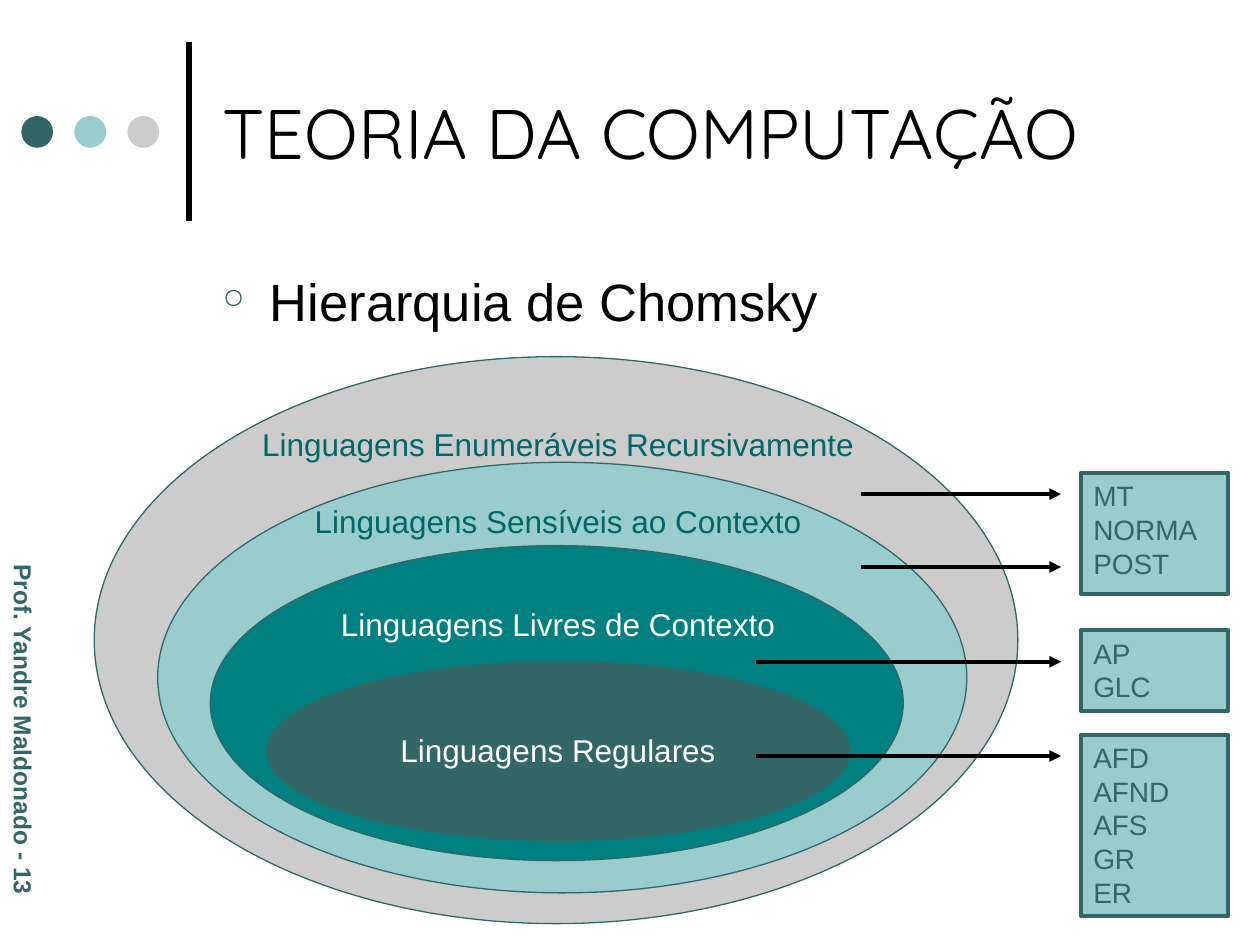
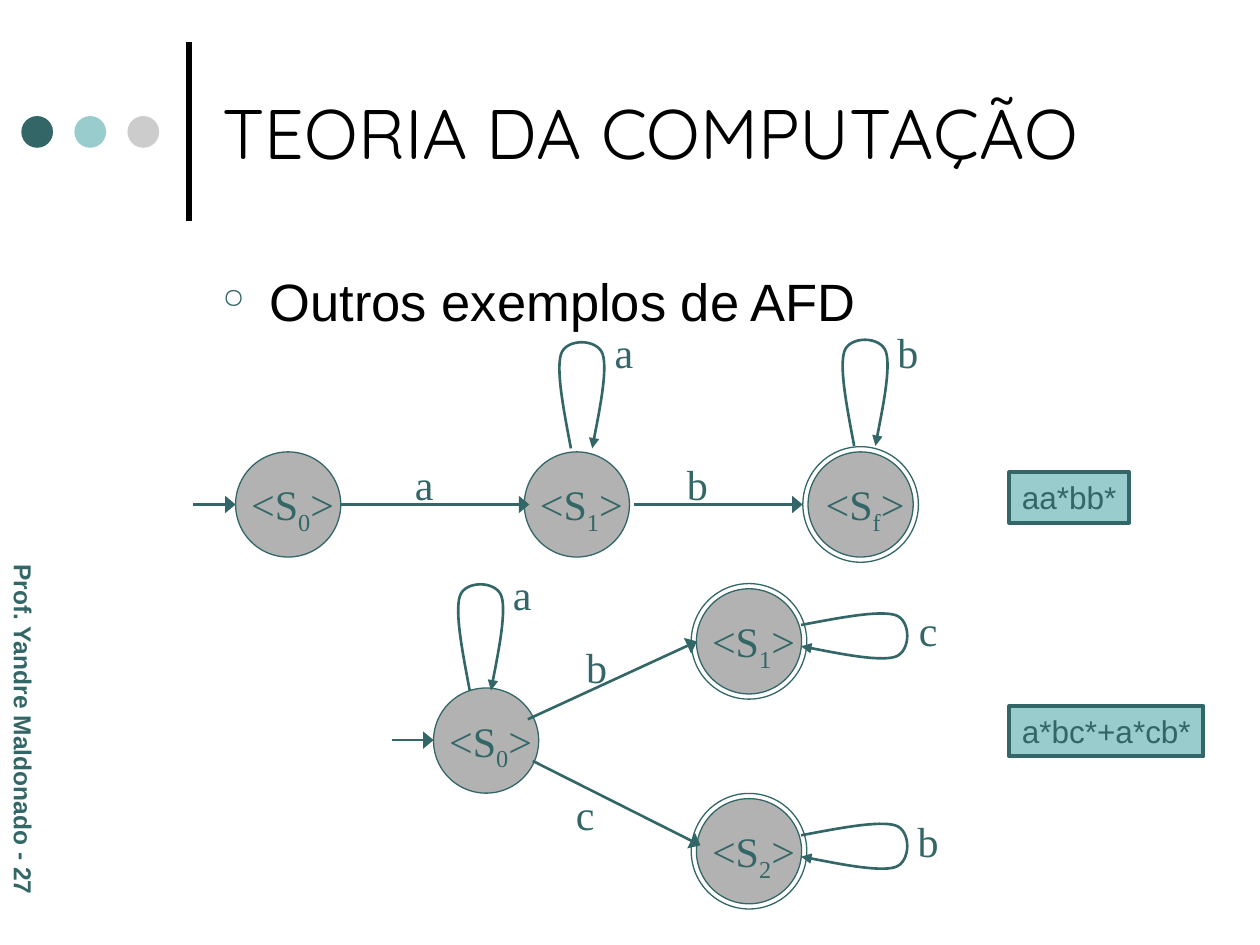
from lxml import etree
from pptx import Presentation
from pptx.dml.color import RGBColor
from pptx.enum.shapes import MSO_CONNECTOR, MSO_SHAPE
from pptx.enum.text import MSO_ANCHOR, PP_ALIGN
from pptx.oxml.ns import qn
from pptx.util import Cm, Pt

OVAL, RECT = MSO_SHAPE.OVAL, MSO_SHAPE.RECTANGLE
STRAIGHT = MSO_CONNECTOR.STRAIGHT
TOP, MIDDLE = MSO_ANCHOR.TOP, MSO_ANCHOR.MIDDLE
LEFT, CENTER = PP_ALIGN.LEFT, PP_ALIGN.CENTER

BLACK, WHITE = "000000", "FFFFFF"
DARK, LIGHT, GREY = "336666", "99CCCC", "CCCCCC"
TEAL, DEEP_TEAL, STATE_GREY = "008080", "006666", "B2B2B2"
rgb = RGBColor.from_string


def paint(shape, fill=None, line=None, width=0.75, head=None):
    """Set fill and outline; head is the arrowhead width (med or lg)."""
    if hasattr(shape, "fill"):
        if fill:
            shape.fill.solid()
            shape.fill.fore_color.rgb = rgb(fill)
        else:
            shape.fill.background()
    if line:
        shape.line.color.rgb = rgb(line)
        shape.line.width = Pt(width)
    else:
        shape.line.fill.background()
    properties = shape._element.spPr
    if head:
        etree.SubElement(properties.find(qn("a:ln")), qn("a:tailEnd"),
                         type="triangle", w=head, len="med")
    etree.SubElement(properties, qn("a:effectLst"))


def write(shape, text, size=18, color=DARK, font="Arial", bold=False,
          align=LEFT, anchor=TOP, wrap=True, before=0):
    """Write one paragraph per line; text between underscores is subscript."""
    frame = shape.text_frame
    frame.word_wrap = wrap
    frame.vertical_anchor = anchor
    for number, content in enumerate(text.split("\n")):
        paragraph = frame.add_paragraph() if number else frame.paragraphs[0]
        paragraph.alignment = align
        paragraph.space_before = Pt(before)
        for position, part in enumerate(content.split("_")):
            run = paragraph.add_run()
            run.text = part
            run.font.size = Pt(size)
            run.font.name = font
            run.font.bold = bold
            run.font.color.rgb = rgb(color)
            if position % 2:
                run._r.get_or_add_rPr().set("baseline", "-25000")


deck = Presentation()
deck.slide_width, deck.slide_height = Cm(25.4), Cm(19.05)

# Shared: rule, dots, title, bulleted topic and vertical footer
canvases = []
for topic, page in (("Hierarquia de Chomsky", 13), ("Outros exemplos de AFD", 27)):
    shapes = deck.slides.add_slide(deck.slide_layouts[6]).shapes
    canvases.append(shapes)

    rule = shapes.add_connector(STRAIGHT, Cm(3.81), Cm(4.45), Cm(3.81), Cm(0.84))
    paint(rule, line=BLACK, width=3)
    for column, color in enumerate((DARK, LIGHT, GREY)):
        dot = shapes.add_shape(OVAL, Cm(0.43 + 1.07 * column), Cm(2.34), Cm(0.64), Cm(0.64))
        paint(dot, color)

    title = shapes.add_textbox(Cm(4.24), Cm(0.53), Cm(19.48), Cm(4.24))
    write(title, "TEORIA DA COMPUTAÇÃO", size=40, color=BLACK, font="Quicksand", anchor=MIDDLE)

    body = shapes.add_textbox(Cm(4.24), Cm(5.29), Cm(19.48), Cm(11.43))
    write(body, topic, size=30, color=BLACK, before=7.5)
    bullet = body.text_frame.paragraphs[0]._p.get_or_add_pPr()
    bullet.set("marL", str(Cm(0.95)))
    bullet.set("indent", str(Cm(-0.95)))
    bullet_color = etree.SubElement(bullet, qn("a:buClr"))
    etree.SubElement(bullet_color, qn("a:srgbClr"), val=DARK)
    etree.SubElement(bullet, qn("a:buSzPct"), val="53000")
    etree.SubElement(bullet, qn("a:buChar"), char="○")

    footer = shapes.add_textbox(Cm(-3.43), Cm(14.6), Cm(7.8), Cm(0.86))
    footer.rotation = 90
    write(footer, f"Prof. Yandre Maldonado - {page}", size=14, bold=True)

hierarchy, automata = canvases

# Nested language classes, from the widest to the narrowest
for box, color in (
    ((1.9, 7.19, 18.62, 11.43), GREY),
    ((3.18, 9.32, 16.31, 8.68), LIGHT),
    ((4.24, 11, 13.97, 6.35), TEAL),
    ((5.38, 13.34, 11.76, 3.6), DARK),
):
    paint(hierarchy.add_shape(OVAL, *map(Cm, box)), color, DARK)

# Class names, centred on one axis in boxes with room to spare
LABEL_WIDTH, LABEL_AXIS = 13.4, 11.25
for top, name, color in (
    (8.45, "Linguagens Enumeráveis Recursivamente", DEEP_TEAL),
    (10, "Linguagens Sensíveis ao Contexto", DEEP_TEAL),
    (12.08, "Linguagens Livres de Contexto", WHITE),
    (14.62, "Linguagens Regulares", WHITE),
):
    label = hierarchy.add_textbox(Cm(LABEL_AXIS - LABEL_WIDTH / 2), Cm(top),
                                  Cm(LABEL_WIDTH), Cm(1.02))
    write(label, name, color=color, align=CENTER)

# Arrows to the formalisms of each class
for start, y in ((17.35, 9.96), (17.35, 11.43), (15.24, 13.34), (15.24, 15.24)):
    arrow = hierarchy.add_connector(STRAIGHT, Cm(start), Cm(y), Cm(21.39), Cm(y))
    paint(arrow, line=BLACK, width=2.25, head="med")

for top, height, names in (
    (9.53, 2.44, "MT\nNORMA\nPOST"),
    (12.7, 1.63, "AP\nGLC"),
    (14.81, 3.66, "AFD\nAFND\nAFS\nGR\nER"),
):
    formalisms = hierarchy.add_shape(RECT, Cm(21.79), Cm(top), Cm(2.97), Cm(height))
    paint(formalisms, LIGHT, DARK, 2.25)
    write(formalisms, names, size=16)

# Automaton states by centre; final states have an outer ring
STATE, RING = 2.12, 2.33
for x, y, index, final in (
    (5.81, 10.17, "0", False), (11.63, 10.17, "1", False), (17.35, 10.17, "f", True),
    (9.8, 14.93, "0", False), (15.1, 12.93, "1", True), (15.1, 17.16, "2", True),
):
    state = automata.add_shape(OVAL, Cm(x - STATE / 2), Cm(y - STATE / 2), Cm(STATE), Cm(STATE))
    paint(state, STATE_GREY, DARK)
    if final:
        ring = automata.add_shape(OVAL, Cm(x - RING / 2), Cm(y - RING / 2), Cm(RING), Cm(RING))
        paint(ring, line=DARK)
    state_name = automata.add_textbox(Cm(x - 1.18), Cm(y - 0.64), Cm(2.54), Cm(1.42))
    write(state_name, f"<S_{index}_>", size=24, font="Times New Roman", align=CENTER, before=15)

# Straight transitions
for ends in (
    (3.89, 10.17, 4.75, 10.17), (6.86, 10.17, 10.67, 10.17), (12.78, 10.17, 16.18, 10.17),
    (7.9, 14.92, 8.74, 14.92), (10.64, 14.5, 14.05, 12.93), (10.74, 15.34, 14.12, 17.04),
):
    transition = automata.add_connector(STRAIGHT, *map(Cm, ends))
    paint(transition, line=DARK, width=1.5, head="lg")

# Self loops: three Bezier curves, upwards or turned to the right
LOOP = ((-0.15, -0.79), (-0.3, -1.57), (-0.2, -1.9),
        (-0.1, -2.22), (0.53, -2.22), (0.64, -1.9),
        (0.75, -1.57), (0.48, -0.3), (0.43, 0))
for x, y, sideways in (
    (11.51, 9.04, False), (17.22, 8.99, False), (9.47, 13.92, False),
    (16.15, 12.6, True), (16.15, 16.84, True),
):
    offsets = [(-dy, dx) if sideways else (dx, dy) for dx, dy in LOOP]
    builder = automata.build_freeform(Cm(x), Cm(y))
    builder.add_line_segments([(Cm(x + dx), Cm(y + dy)) for dx, dy in offsets], close=False)
    loop = builder.convert_to_shape()
    steps = list(loop._element.iter(qn("a:lnTo")))
    for first in range(0, len(steps), 3):
        curve = steps[first]
        for step in steps[first + 1:first + 3]:
            curve.append(step[0])
            step.getparent().remove(step)
        curve.tag = qn("a:cubicBezTo")
    paint(loop, line=DARK, width=1.5, head="med")

# Transition symbols
for left, top, symbol in (
    (7.7, 9.12, "a"), (13.21, 9.12, "b"), (11.73, 6.45, "a"), (17.45, 6.45, "b"),
    (9.68, 11.33, "a"), (11.18, 12.8, "b"), (10.95, 15.77, "c"),
    (17.86, 12.07, "c"), (17.86, 16.31, "b"),
):
    symbol_label = automata.add_textbox(Cm(left), Cm(top), Cm(1.7), Cm(1.27))
    write(symbol_label, symbol, size=24, font="Times New Roman", align=CENTER, before=15)

# Regular expressions of the two automata
for top, width, expression in ((9.52, 2.41, "aa*bb*"), (14.23, 3.91, "a*bc*+a*cb*")):
    regex = automata.add_shape(RECT, Cm(20.35), Cm(top), Cm(width), Cm(1.02))
    paint(regex, LIGHT, DARK, 2.25)
    write(regex, expression, wrap=False)

deck.save("out.pptx")
